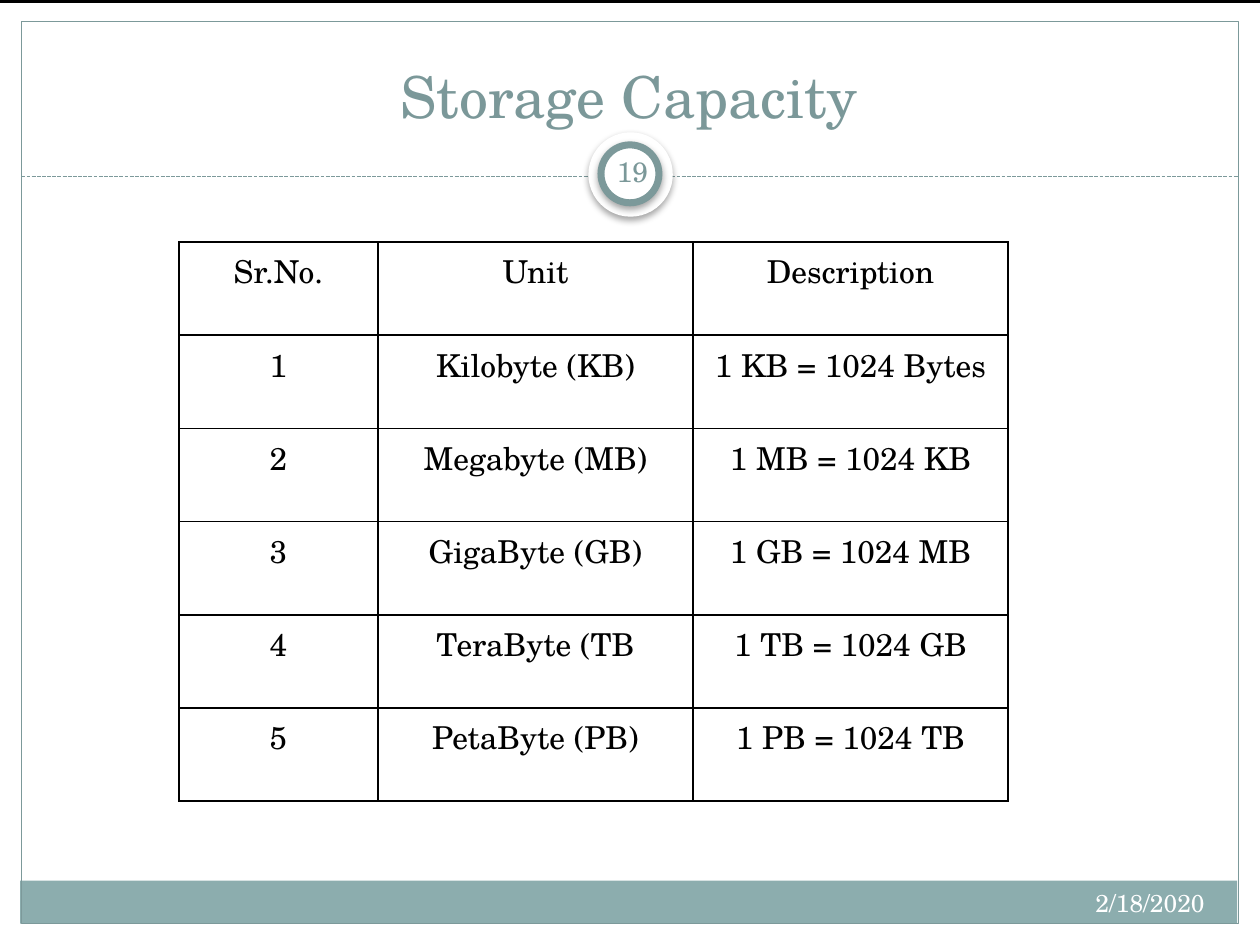
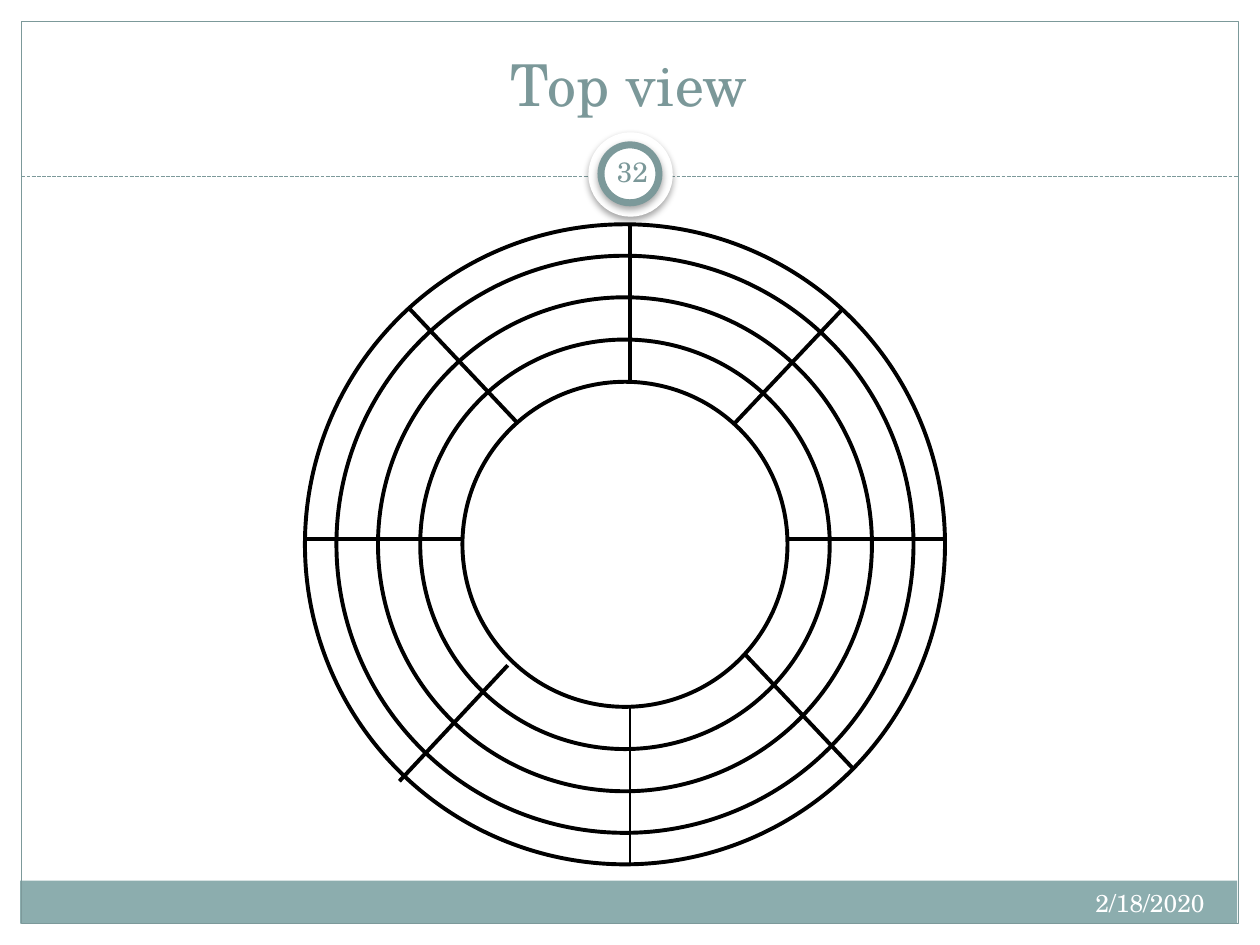
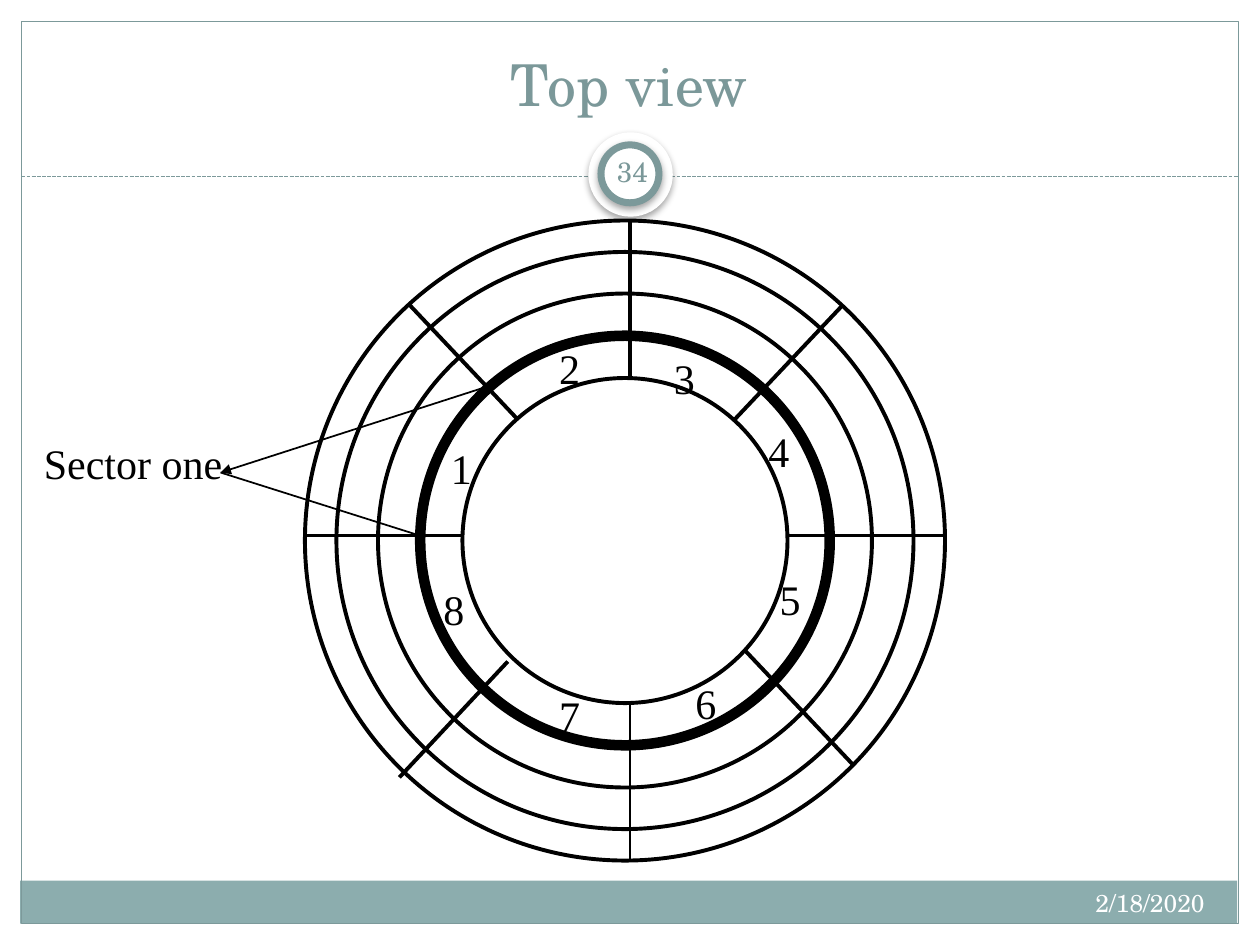
from pptx import Presentation
from pptx.dml.color import RGBColor
from pptx.enum.dml import MSO_LINE
from pptx.enum.shapes import MSO_CONNECTOR, MSO_SHAPE
from pptx.enum.text import MSO_ANCHOR, PP_ALIGN
from pptx.oxml.ns import qn
from pptx.util import Inches, Pt
from lxml import etree

COLOURS = {"white": "FFFFFF", "black": "000000", "band": "8CADAE",
           "frame": "7C999A", "title": "7B9899"}
THEME_FONT = "TeX Gyre Schola"
LABEL_FONT = "Times New Roman"
DATE = "2/18/2020"

UNITS = [
    ("Sr.No.", "Unit", "Description"),
    ("1", "Kilobyte (KB)", "1 KB = 1024 Bytes"),
    ("2", "Megabyte (MB)", "1 MB = 1024 KB"),
    ("3", "GigaByte (GB)", "1 GB = 1024 MB"),
    ("4", "TeraByte (TB", "1 TB = 1024 GB"),
    ("5", "PetaByte (PB)", "1 PB = 1024 TB"),
]
COLUMN_WIDTHS = (1.58, 2.5, 2.5)
ROW_HEIGHT = 0.74

# Disc geometry: radii from outside in; heights are measured from the disc's top
DISC_X = 4.96
TRACK_RADII = (2.54, 2.29, 1.96, 1.625, 1.29)
BOLD_TRACK = 3
SPOKES = [
    (5, 5.08, 5, 3.83, 0.75),
    (5, 1.25, 5, 0, 2.25),
    (7.5, 2.5, 6.25, 2.5, 2.25),
    (3.67, 2.5, 2.42, 2.5, 2.25),
    (6.69, 0.67, 5.83, 1.58, 2.25),
    (4.03, 3.5, 3.17, 4.42, 2.25),
    (5.92, 3.42, 6.78, 4.33, 2.25),
    (3.25, 0.67, 4.11, 1.58, 2.25),
]
SECTOR_PLACES = [(3.48, 3.46), (4.34, 2.67), (5.25, 2.75), (6, 3.33),
                 (6.09, 4.5), (5.42, 5.33), (4.34, 5.42), (3.42, 4.58)]


def rgb(colour):
    return RGBColor.from_string(COLOURS[colour])


def add_outlined(slide, kind, box, fill=None, line=None, width=0.75):
    shape = slide.shapes.add_shape(kind, *map(Inches, box))
    shape.shadow.inherit = False
    if fill:
        shape.fill.solid()
        shape.fill.fore_color.rgb = rgb(fill)
    else:
        shape.fill.background()
    if line:
        shape.line.color.rgb = rgb(line)
        shape.line.width = Pt(width)
    else:
        shape.line.fill.background()
    return shape


def add_soft_shadow(shape):
    effects = shape._element.spPr.find(qn("a:effectLst"))
    shadow = etree.SubElement(effects, qn("a:outerShdw"), blurRad=str(Pt(4)),
                              dist=str(Pt(2)), dir="5400000", rotWithShape="0")
    colour = etree.SubElement(shadow, qn("a:srgbClr"), val=COLOURS["black"])
    etree.SubElement(colour, qn("a:alpha"), val="35000")


def add_line(slide, start, end, colour="black", width=2.25, dash=None, arrow=False):
    line = slide.shapes.add_connector(MSO_CONNECTOR.STRAIGHT,
                                      *map(Inches, (*start, *end)))
    line.line.color.rgb = rgb(colour)
    line.line.width = Pt(width)
    if dash:
        line.line.dash_style = dash
    properties = line._element.spPr
    if arrow:
        etree.SubElement(properties.find(qn("a:ln")), qn("a:tailEnd"), type="triangle")
    etree.SubElement(properties, qn("a:effectLst"))


def write(frame, text, size, colour, font=THEME_FONT, align=PP_ALIGN.LEFT):
    paragraph = frame.paragraphs[0]
    paragraph.alignment = align
    run = paragraph.add_run()
    run.text = text
    run.font.size = Pt(size)
    run.font.name = font
    run.font.color.rgb = rgb(colour)


def add_text(slide, box, text, size, colour, font=THEME_FONT, align=PP_ALIGN.LEFT,
             anchor=MSO_ANCHOR.TOP, side_inset=0.1, wrap=True):
    frame = slide.shapes.add_textbox(*map(Inches, box)).text_frame
    frame.word_wrap = wrap
    frame.vertical_anchor = anchor
    frame.margin_left = frame.margin_right = Inches(side_inset)
    frame.margin_top = frame.margin_bottom = Inches(0.05)
    write(frame, text, size, colour, font, align)


def add_label(slide, place, text, width=0.36):
    add_text(slide, (*place, width, 0.5), text, 24, "black", LABEL_FONT, wrap=False)


def add_themed_slide(deck, title, number, title_anchor=MSO_ANCHOR.MIDDLE):
    slide = deck.slides.add_slide(deck.slide_layouts[6])
    # White margins, footer band and frame
    for margin in ((0, 0, 10, 1.52), (0, 0, 0.17, 7.5), (9.83, 0, 0.17, 7.5)):
        add_outlined(slide, MSO_SHAPE.RECTANGLE, margin, "white")
    add_outlined(slide, MSO_SHAPE.RECTANGLE, (0.16, 6.99, 9.66, 0.34), "band")
    add_outlined(slide, MSO_SHAPE.RECTANGLE, (0.17, 0.17, 9.66, 7.16), line="frame")
    add_line(slide, (0.17, 1.4), (9.83, 1.4), "frame", 0.75, MSO_LINE.SQUARE_DOT)
    # Number badge
    add_soft_shadow(add_outlined(slide, MSO_SHAPE.OVAL, (4.67, 1.05, 0.67, 0.67), "white"))
    add_soft_shadow(add_outlined(slide, MSO_SHAPE.OVAL, (4.77, 1.15, 0.46, 0.46),
                                 "white", "frame", 4))
    add_text(slide, (4.77, 1.12, 0.5, 0.48), number, 16, "title",
             align=PP_ALIGN.CENTER, anchor=MSO_ANCHOR.MIDDLE, side_inset=0.05)
    # Title and date
    add_text(slide, (0.33, 0.25, 9.33, 0.83), title, 33, "title",
             align=PP_ALIGN.CENTER, anchor=title_anchor)
    add_text(slide, (6.33, 7, 3.33, 0.4), DATE, 14, "white", align=PP_ALIGN.RIGHT)
    return slide


def add_cell_borders(cell):
    properties = cell._tc.get_or_add_tcPr()
    for position, side in enumerate(("lnL", "lnR", "lnT", "lnB")):
        border = etree.Element(qn(f"a:{side}"), w=str(Pt(1)))
        fill = etree.SubElement(border, qn("a:solidFill"))
        etree.SubElement(fill, qn("a:srgbClr"), val=COLOURS["black"])
        properties.insert(position, border)


def add_unit_table(slide):
    size = (sum(COLUMN_WIDTHS), ROW_HEIGHT * len(UNITS))
    table = slide.shapes.add_table(len(UNITS), len(COLUMN_WIDTHS),
                                   *map(Inches, (1.42, 1.92, *size))).table
    table.first_row = table.horz_banding = False
    for column, width in zip(table.columns, COLUMN_WIDTHS):
        column.width = Inches(width)
    for row, texts in zip(table.rows, UNITS):
        row.height = Inches(ROW_HEIGHT)
        for cell, text in zip(row.cells, texts):
            cell.fill.background()
            add_cell_borders(cell)
            write(cell.text_frame, text, 18, "black", align=PP_ALIGN.CENTER)


def add_disc(slide, top, bold_width=2.25):
    centre_y = top + TRACK_RADII[0]
    for track, radius in enumerate(TRACK_RADII):
        bold = track == BOLD_TRACK
        box = (DISC_X - radius, centre_y - radius, 2 * radius, 2 * radius)
        add_outlined(slide, MSO_SHAPE.OVAL, box, None if bold else "white",
                     "black", bold_width if bold else 2.25)
    for x1, y1, x2, y2, width in SPOKES:
        add_line(slide, (x1, top + y1), (x2, top + y2), width=width)


def main():
    deck = Presentation()
    deck.slide_width, deck.slide_height = Inches(10), Inches(7.5)

    # Storage units
    storage = add_themed_slide(deck, "Storage Capacity", "19", MSO_ANCHOR.BOTTOM)
    add_unit_table(storage)
    add_outlined(storage, MSO_SHAPE.RECTANGLE, (0, 0, 10, 0.02), "black", "black")

    # Disc with tracks and spokes
    tracks = add_themed_slide(deck, "Top view", "32")
    add_disc(tracks, 1.78)

    # Disc with numbered sectors
    sectors = add_themed_slide(deck, "Top view", "34")
    add_disc(sectors, 1.75, bold_width=6)
    for number, place in enumerate(SECTOR_PLACES, start=1):
        add_label(sectors, place, str(number))
    add_label(sectors, (0.25, 3.42), "Sector one", 1.62)
    add_line(sectors, (3.83, 3.08), (1.75, 3.75), width=1, arrow=True)
    add_line(sectors, (1.75, 3.75), (3.33, 4.25), width=1)

    deck.save("out.pptx")


if __name__ == "__main__":
    main()
